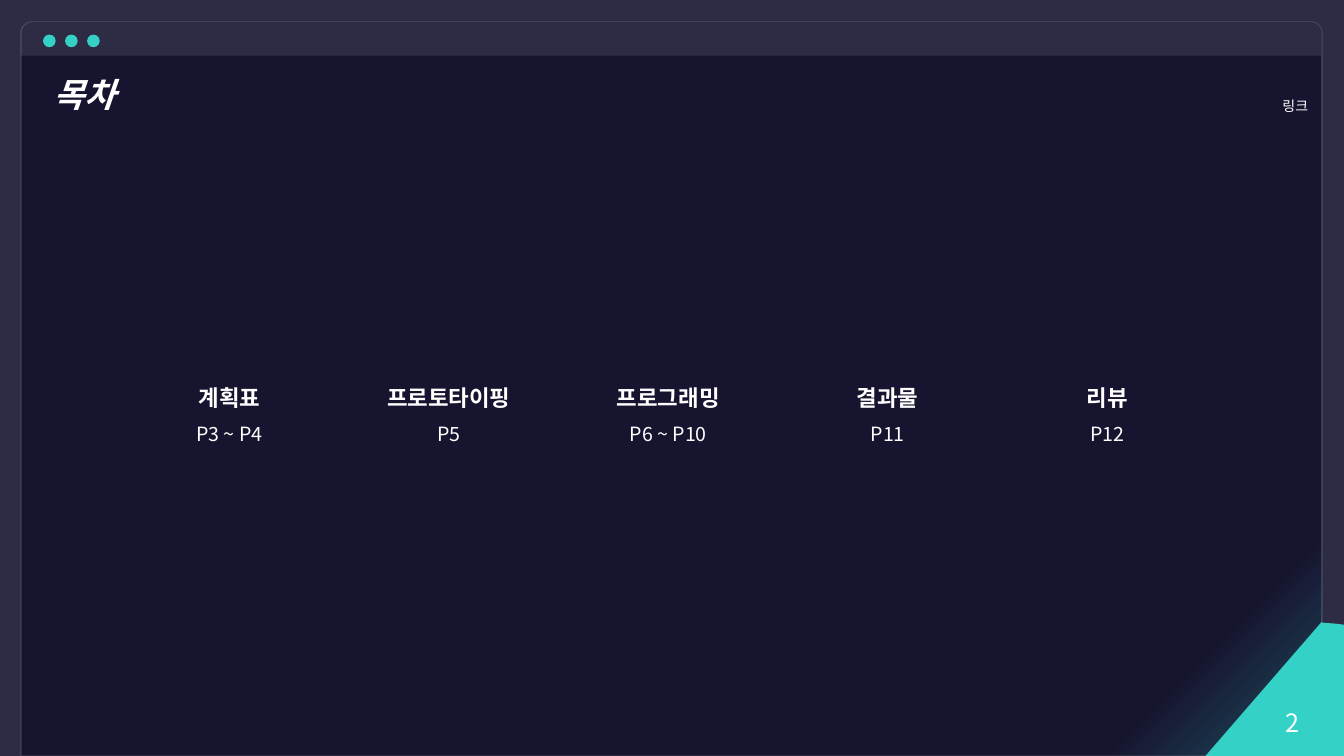
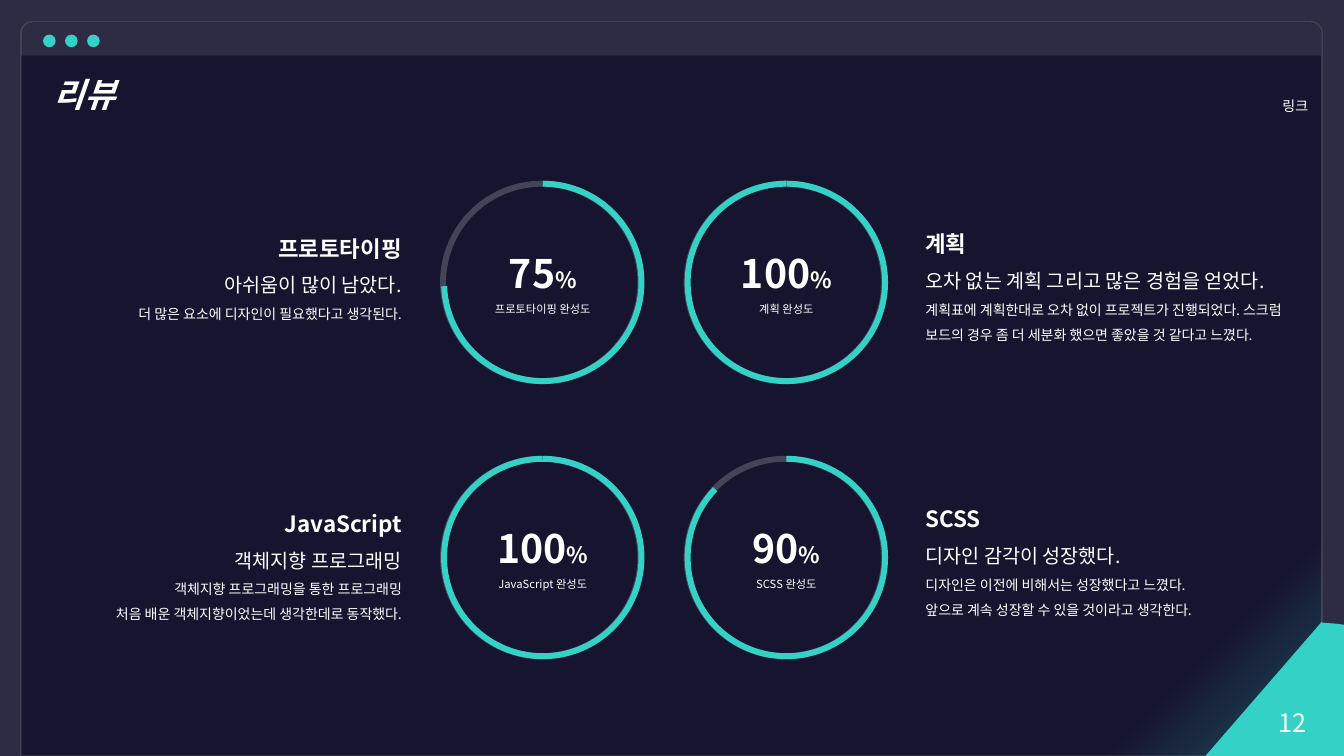
"""Build the agenda and review slides of a dark window-style deck."""
from lxml import etree
from pptx import Presentation
from pptx.dml.color import RGBColor
from pptx.enum.shapes import MSO_SHAPE
from pptx.enum.text import MSO_ANCHOR, MSO_AUTO_SIZE, PP_ALIGN
from pptx.oxml.ns import qn
from pptx.util import Emu, Pt

PX = 9525
WIDE, HIGH = 1280, 720
FONT = "Noto Sans CJK KR"
WHITE = RGBColor(0xFF, 0xFF, 0xFF)
TEAL = RGBColor(0x34, 0xD1, 0xC6)
GLOW = RGBColor(0x1D, 0x52, 0x62)
NIGHT = RGBColor(0x17, 0x14, 0x2F)
BACK = RGBColor(0x2E, 0x2C, 0x44)
LEFT, MID, RIGHT = PP_ALIGN.LEFT, PP_ALIGN.CENTER, PP_ALIGN.RIGHT
OVAL, ARC = MSO_SHAPE.OVAL, MSO_SHAPE.ARC
TOPS, WEDGE = MSO_SHAPE.ROUND_2_SAME_RECTANGLE, MSO_SHAPE.ISOSCELES_TRIANGLE
CENTER, FIXED = MSO_ANCHOR.MIDDLE, MSO_AUTO_SIZE.NONE

TOPICS = [
    ("계획표", "P3 ~ P4"),
    ("프로토타이핑", "P5"),
    ("프로그래밍", "P6 ~ P10"),
    ("결과물", "P11"),
    ("리뷰", "P12"),
]
REVIEWS = [
    ("프로토타이핑", "75", 106.67, 31, "아쉬움이 많이 남았다.",
     ["더 많은 요소에 디자인이 필요했다고 생각된다."]),
    ("계획", "100", 161.85, 27, "오차 없는 계획 그리고 많은 경험을 얻었다.",
     ["계획표에 계획한대로 오차 없이 프로젝트가 진행되었다. "
      "스크럼 보드의 경우 좀 더 세분화 했으면 좋았을 것 같다고 느꼈다."]),
    ("JavaScript", "100", 161.85, 31, "객체지향 프로그래밍",
     ["객체지향 프로그래밍을 통한 프로그래밍",
      "처음 배운 객체지향이었는데 생각한데로 동작했다."]),
    ("SCSS", "90", 134.3, 27, "디자인 감각이 성장했다.",
     ["디자인은 이전에 비해서는 성장했다고 느꼈다.",
      "앞으로 계속 성장할 수 있을 것이라고 생각한다."]),
]


def scale(*sizes):
    """Turn px lengths into EMU."""
    return [Emu(size * PX) for size in sizes]


def style(run, size, bold=False):
    """Give a run the deck font, for Latin and Korean alike."""
    font = run.font
    font.size, font.bold, font.name = Pt(size), bold, FONT
    font.color.rgb = WHITE
    etree.SubElement(run._r.get_or_add_rPr(), qn("a:ea"), typeface=FONT)


def write(frame, lines, align=LEFT, space=1.5):
    """Fill a frame with (text, size, bold) lines."""
    frame.text = "\n".join(line[0] for line in lines)
    for para, (_, size, bold) in zip(frame.paragraphs, lines):
        para.alignment, para.line_spacing = align, space
        for run in para.runs:
            style(run, size, bold)


def label(slide, box, lines, align=LEFT, space=1.5):
    """Add a wrapped text box."""
    frame = slide.shapes.add_textbox(*scale(*box)).text_frame
    frame.word_wrap = True
    write(frame, lines, align, space)


def fade(props, share):
    """Make the solid colour of a fill or line partly opaque."""
    color = props.find(qn("a:solidFill")).find(qn("a:srgbClr"))
    etree.SubElement(color, qn("a:alpha"), val=str(share * 1000))


def paint(shape, fill=None):
    """Set a plain fill, or none, with no line and no shadow."""
    shape.shadow.inherit = False
    shape.line.fill.background()
    if fill is None:
        shape.fill.background()
    else:
        shape.fill.solid()
        shape.fill.fore_color.rgb = fill
    return shape


def draw(slide, kind, box, fill=None):
    """Add a painted preset shape."""
    return paint(slide.shapes.add_shape(kind, *scale(*box)), fill)


def edge(shape, color, width, share=100):
    """Outline a shape."""
    shape.line.color.rgb = color
    shape.line.width = Pt(width)
    if share < 100:
        fade(shape.line._get_or_add_ln(), share)


def shade(shape):
    """Fill a shape with a glow from its lower right corner."""
    shape.fill.gradient()
    stops = shape.fill.gradient_stops
    for stop, color, place in zip(stops, (GLOW, NIGHT), (0, 0.11)):
        stop.color.rgb, stop.position = color, place
    grad = shape._element.spPr.find(qn("a:gradFill"))
    grad.remove(grad.find(qn("a:lin")))
    ray = etree.SubElement(grad, qn("a:path"), path="circle")
    etree.SubElement(ray, qn("a:fillToRect"), l="100000", t="100000")


def window(slide, left, top, width, height):
    """Draw the window with its bar and three dots."""
    pane = draw(slide, TOPS, (left, top, width, height))
    pane.adjustments[0] = 0.015
    shade(pane)
    edge(pane, WHITE, 1, 14)
    bar = draw(slide, TOPS, (left, top + 1, width - 1, 31), WHITE)
    bar.adjustments[0] = 0.29
    fade(bar._element.spPr, 10)
    for i in range(3):
        draw(slide, OVAL, (left + 21 + 21 * i, top + 12, 12, 12), TEAL)


def corner(slide, left, top, width, page):
    """Draw the folded corner that holds the page number."""
    fold = left + width
    path = slide.shapes.build_freeform(fold, top + 1, PX)
    path.add_line_segments([(fold + 13, top + 2), (WIDE, top + 3),
                            (WIDE, HIGH), (fold, HIGH)])
    paint(path.convert_to_shape(), TEAL)
    wedge = draw(slide, WEDGE, (left, top, width, HIGH - top), TEAL)
    wedge.adjustments[0] = 1
    wedge.text_frame.vertical_anchor = CENTER
    write(wedge.text_frame, [(str(page), 18, False)], MID, 1)


def head(slide, left, top, width, height, text):
    """Place and format the title placeholder above the window."""
    title = slide.shapes.title
    title.left, title.top, title.width, title.height = scale(
        left, top, width, height)
    frame = title.text_frame
    frame.auto_size, frame.vertical_anchor = FIXED, CENTER
    write(frame, [(text, 24, True)], LEFT, 1)
    frame.paragraphs[0].runs[0].font.italic = True
    slide.shapes._spTree.append(title._element)


def start(deck, text, page):
    """Add a slide with the shared window, corner, title and link."""
    slide = deck.slides.add_slide(deck.slide_layouts[5])
    window(slide, 20, 21, 1239, 699)
    corner(slide, 1148, 592, 111, page)
    head(slide, 41, 66, 908, 48, text)
    label(slide, (1212, 88, 48, 26), [("링크", 10, False)], LEFT, 1)
    return slide


def agenda(slide, left, top, step):
    """Lay out the topics in equal columns."""
    for i, (name, pages) in enumerate(TOPICS):
        label(slide, (left + i * step, top, 189, 78),
              [(name, 16, True), (pages, 14, False)], MID)


def ring(slide, left, top, size, name, score, end):
    """Draw a progress ring with its score inside."""
    edge(draw(slide, OVAL, (left, top, size, size)), WHITE, 4.25, 20)
    arc = draw(slide, ARC, (left + 1, top, size, size))
    arc.adjustments[0], arc.adjustments[1] = 162, end
    edge(arc, TEAL, 4.25)
    frame = arc.text_frame
    frame.word_wrap, frame.vertical_anchor = False, CENTER
    write(frame, [(score, 28, True), (f"{name} 완성도", 8, False)], MID)
    para = frame.paragraphs[0]
    para.line_spacing = 1
    sign = para.add_run()
    sign.text = "%"
    style(sign, 16, True)


def review(slide, left, top, size, east, item):
    """Draw a ring and its remarks on the outer side."""
    name, score, end, drop, lead, notes = item
    ring(slide, left, top, size, name, score, end)
    width = 389 if east else 318
    edge_x = left + size + 30 if east else left - 30 - width
    lines = [(name, 16, True), (lead, 14, False)]
    lines += [(note, 10, False) for note in notes]
    label(slide, (edge_x, top + drop, width, 128), lines,
          LEFT if east else RIGHT)


def main():
    """Build and save the deck."""
    deck = Presentation()
    deck.slide_width, deck.slide_height = scale(WIDE, HIGH)
    fill = deck.slide_master.background.fill
    fill.solid()
    fill.fore_color.rgb = BACK
    agenda(start(deck, "목차", 2), 124, 348, 209)
    slide = start(deck, "리뷰", 12)
    for i, item in enumerate(REVIEWS):
        row, col = divmod(i, 2)
        review(slide, 422 + 232 * col, 175 + 262 * row, 188, col == 1, item)
    deck.save("out.pptx")


if __name__ == "__main__":
    main()
